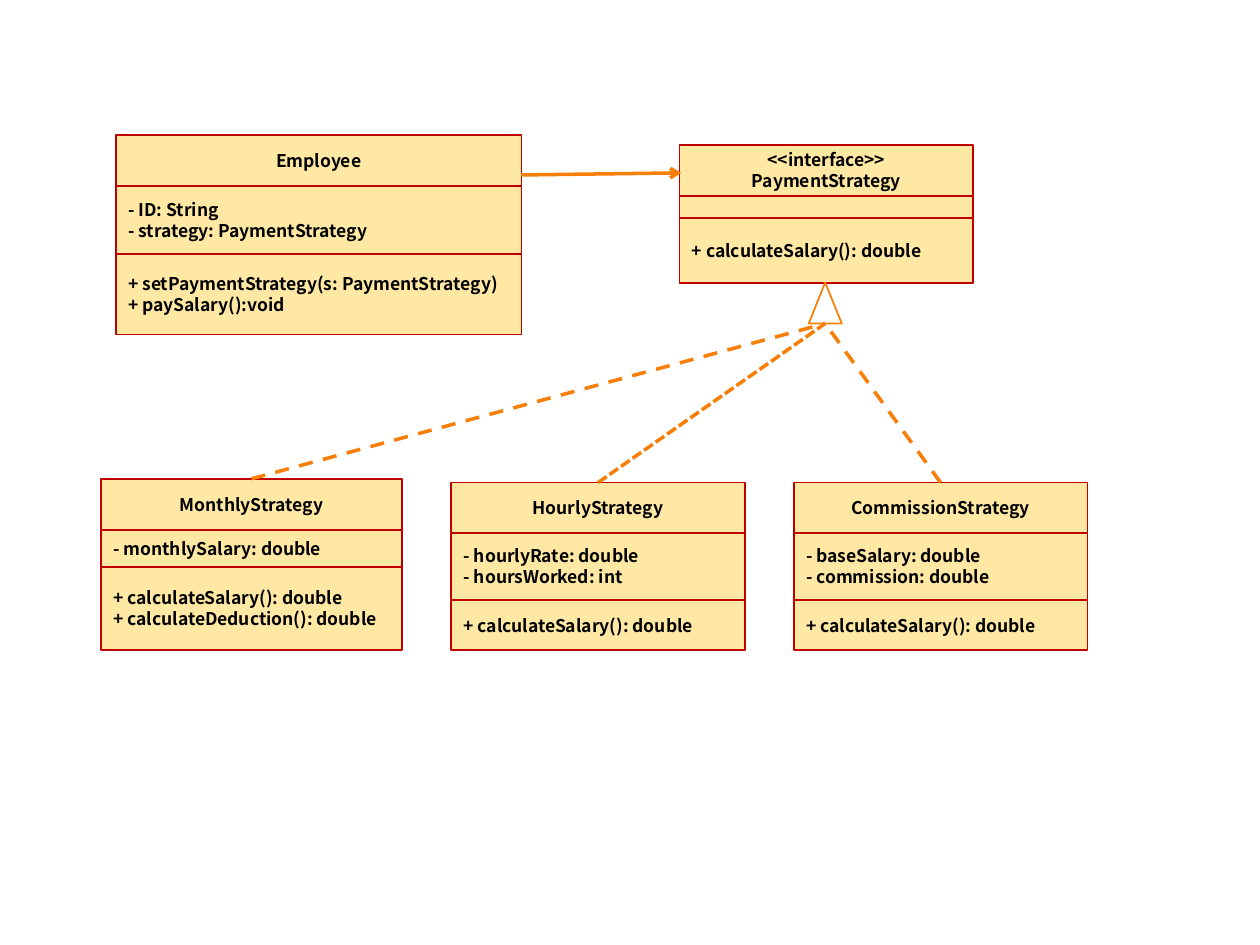
from lxml.etree import SubElement
from pptx import Presentation
from pptx.dml.color import RGBColor
from pptx.enum.dml import MSO_LINE
from pptx.enum.shapes import MSO_CONNECTOR, MSO_SHAPE
from pptx.enum.text import MSO_ANCHOR, PP_ALIGN
from pptx.oxml.ns import qn
from pptx.util import Pt

FONT = "Noto Sans CJK SC"
GOLD, RED, ORANGE, BLACK = "FFC000", "C00000", "F77E07", "000000"
OPACITY = 36

CLASSES = {
    "Employee": (66.2, 77, 231.8, [
        (29.3, ["Employee"]),
        (39, ["- ID: String", "- strategy: PaymentStrategy"]),
        (45.9, ["+ setPaymentStrategy(s: PaymentStrategy)", "+ paySalary():void"]),
    ]),
    "PaymentStrategy": (388.3, 82.8, 167.8, [
        (29, ["<<interface>>", "PaymentStrategy"]),
        (12.6, []),
        (37.4, ["+ calculateSalary(): double"]),
    ]),
    "MonthlyStrategy": (57.6, 273.6, 172.2, [
        (29.3, ["MonthlyStrategy"]),
        (21.1, ["- monthlySalary: double"]),
        (47.5, ["+ calculateSalary(): double", "+ calculateDeduction(): double"]),
    ]),
    "HourlyStrategy": (257.8, 275.8, 167.8, [
        (28.8, ["HourlyStrategy"]),
        (38.2, ["- hourlyRate: double", "- hoursWorked: int"]),
        (28.8, ["+ calculateSalary(): double"]),
    ]),
    "CommissionStrategy": (453.6, 275.8, 167.8, [
        (28.8, ["CommissionStrategy"]),
        (38.2, ["- baseSalary: double", "- commission: double"]),
        (28.8, ["+ calculateSalary(): double"]),
    ]),
}
REALIZATIONS = [
    ("MonthlyStrategy", MSO_LINE.DASH),
    ("HourlyStrategy", MSO_LINE.SQUARE_DOT),
    ("CommissionStrategy", MSO_LINE.DASH),
]
ASSOCIATION = ((297.6, 100), (389.3, 98.8))
TRIANGLE = (462.1, 161.5, 18.9, 23.4)


def color(value):
    return RGBColor.from_string(value)


def write_text(shape, lines, size=10, bold=True, font_color=BLACK, align=PP_ALIGN.LEFT):
    frame = shape.text_frame
    frame.word_wrap = True
    frame.vertical_anchor = MSO_ANCHOR.MIDDLE
    for index, line in enumerate(lines):
        paragraph = frame.add_paragraph() if index else frame.paragraphs[0]
        paragraph.alignment = align
        paragraph.line_spacing = Pt(12)
        run = paragraph.add_run()
        run.text = line
        run.font.name = FONT
        run.font.size = Pt(size)
        run.font.bold = bold
        run.font.color.rgb = color(font_color)


def add_outline(slide, kind, box, line_color):
    shape = slide.shapes.add_shape(kind, *(Pt(length) for length in box))
    shape.shadow.inherit = False
    shape.line.color.rgb = color(line_color)
    shape.line.width = Pt(1)
    return shape


def add_class(slide, left, top, width, compartments):
    title = None
    for height, lines in compartments:
        shape = add_outline(slide, MSO_SHAPE.RECTANGLE, (left, top, width, height), RED)
        shape.fill.solid()
        shape.fill.fore_color.rgb = color(GOLD)
        fill_color = shape.fill._xPr.find(qn("a:solidFill"))[0]
        SubElement(fill_color, qn("a:alpha"), val=str(OPACITY * 1000))
        if lines:
            align = PP_ALIGN.LEFT if title else PP_ALIGN.CENTER
            write_text(shape, lines, align=align)
        title = title or shape
        top += height
    return title


def add_line(slide, start, end, dash=None, arrow=False):
    connector = slide.shapes.add_connector(
        MSO_CONNECTOR.STRAIGHT, *(Pt(length) for length in start + end))
    connector.line.color.rgb = color(ORANGE)
    connector.line.width = Pt(2)
    if dash:
        connector.line.dash_style = dash
    properties = connector._element.spPr
    if arrow:
        SubElement(properties.find(qn("a:ln")), qn("a:tailEnd"), type="arrow")
    SubElement(properties, qn("a:effectLst"))
    return connector


def main():
    presentation = Presentation()
    presentation.slide_width, presentation.slide_height = Pt(720), Pt(540)
    slide = presentation.slides.add_slide(presentation.slide_layouts[6])

    titles = {name: add_class(slide, *layout) for name, layout in CLASSES.items()}

    add_line(slide, *ASSOCIATION, arrow=True)
    left, top, width, height = TRIANGLE
    base = (left + width / 2, top + height)
    for name, dash in REALIZATIONS:
        class_left, class_top, class_width, _ = CLASSES[name]
        start = (class_left + class_width / 2, class_top)
        connector = add_line(slide, start, base, dash=dash)
        connector.begin_connect(titles[name], 0)

    triangle = add_outline(slide, MSO_SHAPE.ISOSCELES_TRIANGLE, TRIANGLE, ORANGE)
    triangle.fill.background()

    presentation.save("out.pptx")


if __name__ == "__main__":
    main()
